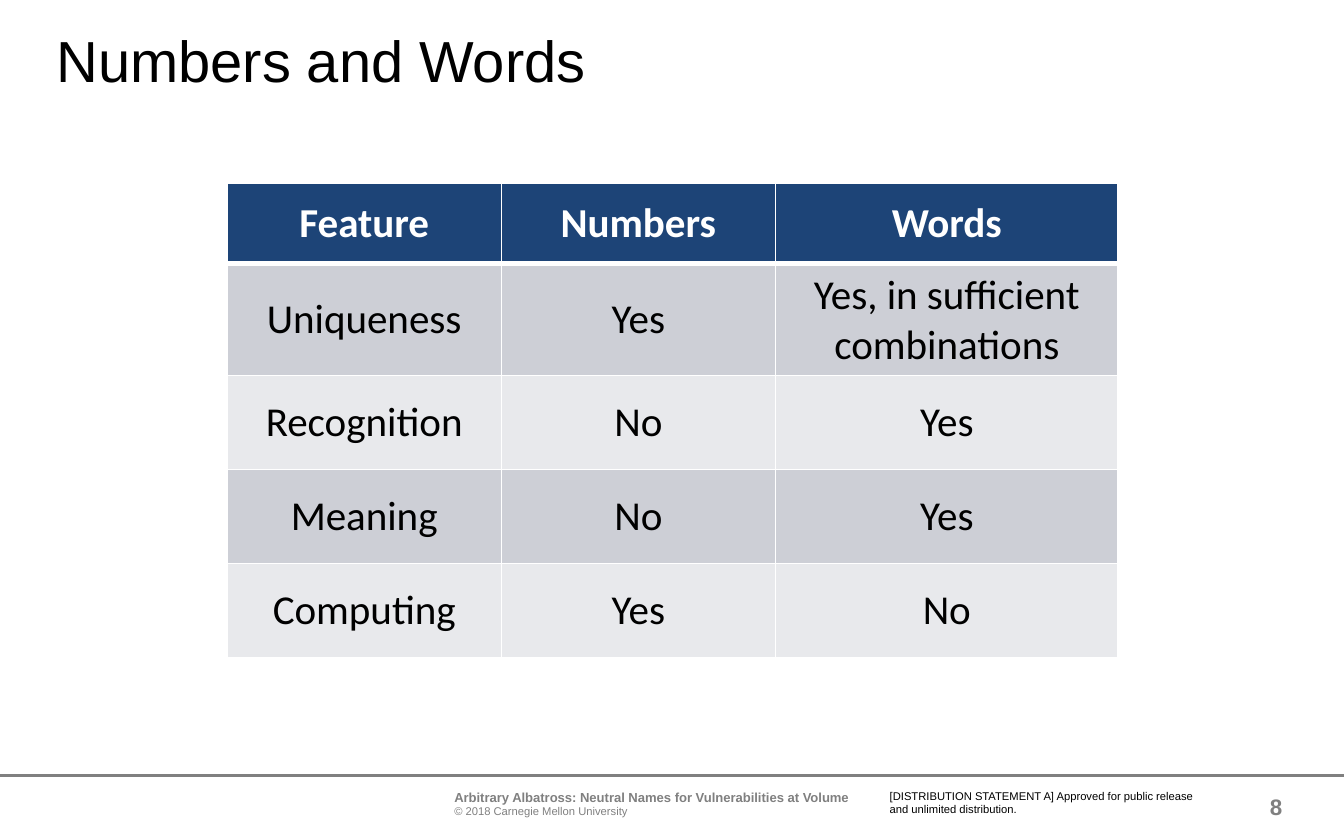
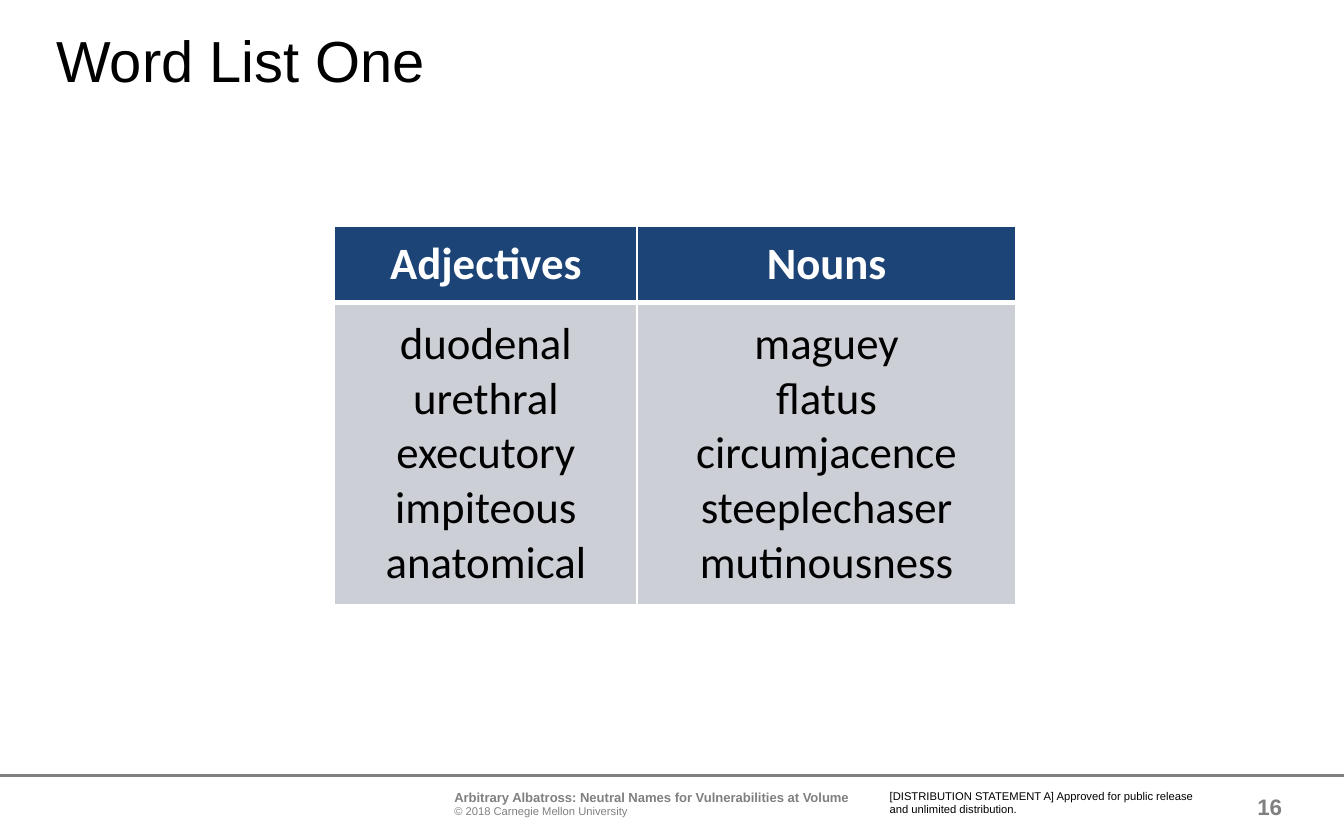
from dataclasses import dataclass

from lxml.etree import SubElement
from pptx import Presentation
from pptx.dml.color import RGBColor
from pptx.enum.shapes import MSO_SHAPE as Shape
from pptx.enum.text import MSO_ANCHOR as Anchor, PP_ALIGN as Align
from pptx.oxml.ns import qn
from pptx.slide import Slide
from pptx.table import _Cell as Cell
from pptx.text.text import TextFrame
from pptx.util import Inches, Pt

BLACK, WHITE, GREY = "000000", "FFFFFF", "808080"
NAVY, DARK_BAND, LIGHT_BAND = "1D4477", "CDCFD6", "E8E9EC"
HEADING_FONT, TABLE_FONT = "Arial", "Calibri"
THIN, THICK = 1, 3


@dataclass(frozen=True)
class Box:
    """A rectangle in inches."""
    left: float
    top: float
    width: float
    height: float


@dataclass(frozen=True)
class TablePage:
    """A titled slide with one table; each cell lists its lines."""
    number: int
    title: str
    left: float
    top: float
    columns: list[float]
    row_heights: list[float]
    size: float
    rows: list[list[str]]


PAGES = [
    TablePage(
        8, "Numbers and Words", 1.69, 1.36, [2.04, 2.04, 2.55], [0.6] + [0.7] * 4, 22,
        [
            ["Feature", "Numbers", "Words"],
            ["Uniqueness", "Yes", "Yes, in sufficient combinations"],
            ["Recognition", "No", "Yes"],
            ["Meaning", "No", "Yes"],
            ["Computing", "Yes", "No"],
        ],
    ),
    TablePage(
        16, "Word List One", 2.49, 1.68, [2.25, 2.82], [0.57, 2.25], 24,
        [
            ["Adjectives", "Nouns"],
            [
                "duodenal\nurethral\nexecutory\nimpiteous\nanatomical",
                "maguey\nflatus\ncircumjacence\nsteeplechaser\nmutinousness",
            ],
        ],
    ),
]


def rgb(color: str) -> RGBColor:
    """Turn a hex string into a colour."""
    return RGBColor.from_string(color)


def write(frame: TextFrame, text: str, *, size: float, font: str = HEADING_FONT,
          color: str = BLACK, bold: bool = False, align: Align = Align.LEFT,
          line_spacing: float | None = None) -> None:
    """Add each line of text as a formatted paragraph."""
    for line in text.split("\n"):
        first = not frame.paragraphs[0].runs
        paragraph = frame.paragraphs[0] if first else frame.add_paragraph()
        paragraph.alignment = align
        paragraph.line_spacing = line_spacing
        run = paragraph.add_run()
        run.text = line
        run.font.name = font
        run.font.size = Pt(size)
        run.font.bold = bold
        run.font.color.rgb = rgb(color)


def add_frame(slide: Slide, box: Box, *, right: float = 0,
              anchor: Anchor = Anchor.TOP) -> TextFrame:
    """Add a wrapping text box and return its text frame."""
    shape = slide.shapes.add_textbox(
        Inches(box.left), Inches(box.top), Inches(box.width), Inches(box.height))
    frame = shape.text_frame
    frame.word_wrap = True
    frame.vertical_anchor = anchor
    frame.margin_left = frame.margin_top = frame.margin_bottom = 0
    frame.margin_right = Inches(right)
    return frame


def add_footer(slide: Slide, number: int) -> None:
    """Draw the footer rule, its texts and the slide number."""
    write(add_frame(slide, Box(9.1, 5.84, 0.44, 0.33), anchor=Anchor.MIDDLE),
          str(number), size=12, color=GREY, bold=True, align=Align.RIGHT)
    credit = add_frame(slide, Box(3.38, 5.87, 3.08, 0.22), right=0.05)
    write(credit, "Arbitrary Albatross: Neutral Names for Vulnerabilities at Volume",
          size=7, color=GREY, bold=True)
    write(credit, "© 2018 Carnegie Mellon University", size=6, color=GREY)
    write(add_frame(slide, Box(6.62, 5.87, 2.29, 0.2)),
          "[DISTRIBUTION STATEMENT A] Approved for public release "
          "and unlimited distribution.", size=6)
    rule = slide.shapes.add_shape(
        Shape.RECTANGLE, Inches(0), Inches(5.76), Inches(10), Inches(0.02))
    rule.shadow.inherit = False
    rule.fill.solid()
    rule.fill.fore_color.rgb = rgb(GREY)
    rule.line.fill.background()


def set_borders(cell: Cell, top: float, bottom: float) -> None:
    """Give a cell white borders, thin at the sides."""
    properties = cell._tc.get_or_add_tcPr()
    for side, width in zip("LRTB", (THIN, THIN, top, bottom)):
        line = SubElement(properties, qn(f"a:ln{side}"), w=str(Pt(width)))
        fill = SubElement(line, qn("a:solidFill"))
        SubElement(fill, qn("a:srgbClr"), val=WHITE)


def add_table(slide: Slide, page: TablePage) -> None:
    """Draw the table with a navy header and banded rows."""
    table = slide.shapes.add_table(
        len(page.rows), len(page.columns), Inches(page.left), Inches(page.top),
        Inches(sum(page.columns)), Inches(sum(page.row_heights))).table
    for column, width in zip(table.columns, page.columns):
        column.width = Inches(width)
    for index, (texts, height) in enumerate(zip(page.rows, page.row_heights)):
        table.rows[index].height = Inches(height)
        header = index == 0
        band = NAVY if header else DARK_BAND if index % 2 else LIGHT_BAND
        for cell, text in zip(table.rows[index].cells, texts):
            set_borders(cell, THICK if index == 1 else THIN, THICK if header else THIN)
            cell.fill.solid()
            cell.fill.fore_color.rgb = rgb(band)
            cell.vertical_anchor = Anchor.MIDDLE
            write(cell.text_frame, text, size=page.size, font=TABLE_FONT,
                  color=WHITE if header else BLACK, bold=header, align=Align.CENTER)


def main() -> None:
    """Build and save the presentation."""
    presentation = Presentation()
    presentation.slide_width = Inches(10)
    presentation.slide_height = Inches(6.25)
    for page in PAGES:
        slide = presentation.slides.add_slide(presentation.slide_layouts[6])
        add_footer(slide, page.number)
        write(add_frame(slide, Box(0.42, 0.24, 9.12, 0.77)), page.title,
              size=31, line_spacing=0.9)
        add_table(slide, page)
    presentation.save("out.pptx")


if __name__ == "__main__":
    main()
